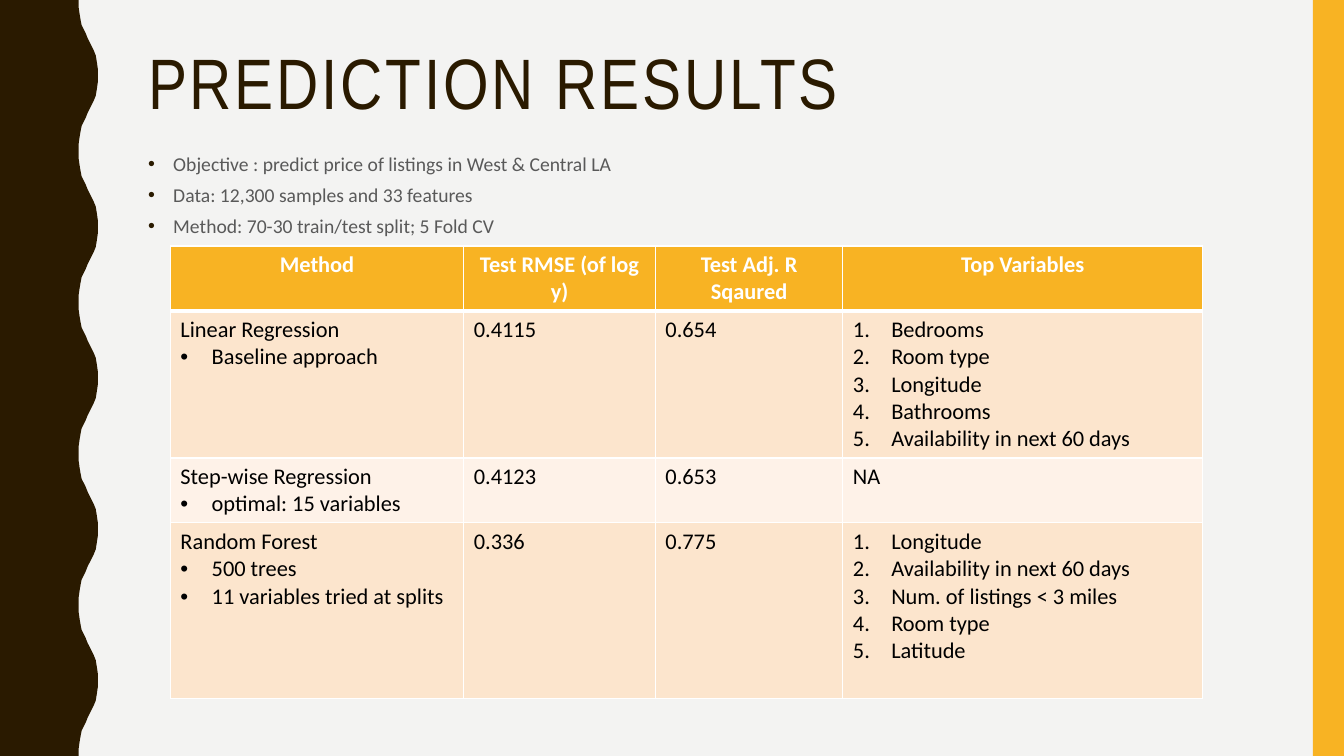
from lxml import etree
from pptx import Presentation
from pptx.dml.color import RGBColor
from pptx.enum import shapes, text
from pptx.oxml import ns
from pptx.util import Pt

PX = 9144  # EMU per px, 100 px to the inch
WIDTH, HEIGHT = 1333, 750

BROWN = RGBColor(0x2A, 0x1A, 0x00)
GOLD = RGBColor(0xF8, 0xB3, 0x23)
PAPER = RGBColor(0xF3, 0xF3, 0xF2)
GREY = RGBColor(0x59, 0x59, 0x59)
WHITE = RGBColor(0xFF, 0xFF, 0xFF)
BLACK = RGBColor(0x00, 0x00, 0x00)
PEACH = RGBColor(0xFC, 0xE5, 0xCD)
CREAM = RGBColor(0xFE, 0xF2, 0xE8)

TITLE = dict(name="Arial Narrow", size=Pt(51), bold=False)
BODY = dict(name="Calibri", size=Pt(14), bold=False)
HEAD = dict(name="Calibri", size=Pt(16), bold=True)
CELL = dict(name="Calibri", size=Pt(16), bold=False)

PLAIN, POINT, NOTE, NUMBER = "plain", "point", "note", "number"
# Indent in px and colour of each kind of list mark
MARKS = {POINT: (25, BROWN), NOTE: (31, BLACK), NUMBER: (38, BLACK)}

# Half a wave of the left edge, as (x, y) in px
HALF_WAVE = [(78, 0), (78, 7), (79, 14), (80, 20), (81, 25), (83, 29), (85, 33),
             (87, 38), (89, 42), (91, 46), (93, 50), (95, 55), (96, 61), (97, 68)]
WAVE_LENGTH = 150

OBJECTIVES = [
    "Objective : predict price of listings in West & Central LA",
    "Data: 12,300 samples and 33 features",
    "Method: 70-30 train/test split; 5 Fold CV",
]
HEADERS = ["Method", "Test RMSE (of log y)", "Test Adj. R Sqaured", "Top Variables"]
# Method, notes, RMSE, adjusted R squared, top variables
RESULTS = [
    ("Linear Regression", ["Baseline approach"], "0.4115", "0.654",
     ["Bedrooms", "Room type", "Longitude", "Bathrooms", "Availability in next 60 days"]),
    ("Step-wise Regression", ["optimal: 15 variables"], "0.4123", "0.653", []),
    ("Random Forest", ["500 trees", "11 variables tried at splits"], "0.336", "0.775",
     ["Longitude", "Availability in next 60 days", "Num. of listings < 3 miles",
      "Room type", "Latitude"]),
]
COLUMNS = [291, 190, 186, 357]
ROWS = [64, 146, 64, 174]


def add_xml(parent, tag, **attrs):
    return etree.SubElement(parent, ns.qn(tag), attrs)


def wave_points():
    """Points of the whole wavy edge, from top to bottom."""
    rest = [(x, WAVE_LENGTH - y) for x, y in reversed(HALF_WAVE[1:])]
    period = HALF_WAVE + [(97, WAVE_LENGTH // 2)] + rest
    return [(x, y + top) for top in range(0, HEIGHT, WAVE_LENGTH)
            for x, y in period] + [(78, HEIGHT)]


class Deck:
    """Holds the presentation, its style and the current slide."""

    def __init__(self):
        self.prs = Presentation()
        self.prs.slide_width, self.prs.slide_height = WIDTH * PX, HEIGHT * PX
        self.s = self.prs.slides.add_slide(self.prs.slide_layouts[5])
        self.s.background.fill.solid()
        self.s.background.fill.fore_color.rgb = PAPER

    def paint(self, sp, color):
        sp.shadow.inherit = False
        sp.fill.solid()
        sp.fill.fore_color.rgb = color
        sp.line.fill.background()

    def outline(self, points, color):
        builder = self.s.shapes.build_freeform(*points[0], scale=PX)
        builder.add_line_segments(points[1:], close=True)
        self.paint(builder.convert_to_shape(), color)

    def rect(self, x, y, w, h, color):
        sp = self.s.shapes.add_shape(shapes.MSO_SHAPE.RECTANGLE,
                                     x * PX, y * PX, w * PX, h * PX)
        self.paint(sp, color)

    def add_lines(self, tf, lines, style, color, **paragraph):
        """Fill a text frame with (mark, text) lines."""
        for i, (mark, words) in enumerate(lines):
            p = tf.add_paragraph() if i else tf.paragraphs[0]
            for key, value in paragraph.items():
                setattr(p, key, value)
            r = p.add_run()
            r.text = words
            for key, value in style.items():
                setattr(r.font, key, value)
            r.font.color.rgb = color
            if mark != PLAIN:
                self.add_mark(p, mark)

    def add_mark(self, p, mark):
        indent, color = MARKS[mark]
        pPr = p._p.get_or_add_pPr()
        pPr.set("marL", str(indent * PX))
        pPr.set("indent", str(-indent * PX))
        add_xml(add_xml(pPr, "a:buClr"), "a:srgbClr", val=str(color))
        if mark == NUMBER:
            add_xml(pPr, "a:buAutoNum", type="arabicPeriod")
        else:
            add_xml(pPr, "a:buFont", typeface="Arial")
            add_xml(pPr, "a:buChar", char="•")

    def title(self, x, y, w, h, words):
        sp = self.s.shapes.title
        for key, value in dict(left=x, top=y, width=w, height=h).items():
            setattr(sp, key, value * PX)
        tf = sp.text_frame
        tf.auto_size = text.MSO_AUTO_SIZE.NONE
        tf.vertical_anchor = text.MSO_ANCHOR.TOP
        self.add_lines(tf, [(PLAIN, words)], TITLE, BROWN,
                       alignment=text.PP_ALIGN.LEFT, line_spacing=0.9)
        tf.paragraphs[0].runs[0]._r.get_or_add_rPr().set("spc", "200")

    def bullets(self, x, y, w, h, lines):
        tf = self.s.shapes.add_textbox(x * PX, y * PX, w * PX, h * PX).text_frame
        tf.word_wrap = True
        self.add_lines(tf, [(POINT, line) for line in lines], BODY, GREY,
                       line_spacing=0.9, space_before=Pt(7))

    def cell(self, cell, lines, style, color, fill, top=1, bottom=1, **paragraph):
        cell.fill.solid()
        cell.fill.fore_color.rgb = fill
        self.add_lines(cell.text_frame, lines, style, color, **paragraph)
        tcPr = cell._tc.get_or_add_tcPr()
        borders = {"a:lnL": 1, "a:lnR": 1, "a:lnT": top, "a:lnB": bottom}
        for i, (tag, points) in enumerate(borders.items()):
            ln = add_xml(tcPr, tag, w=str(int(Pt(points))))
            add_xml(add_xml(ln, "a:solidFill"), "a:srgbClr", val=str(WHITE))
            tcPr.insert(i, ln)

    def table(self, x, y, columns, rows, headers, results):
        table = self.s.shapes.add_table(len(rows), len(columns), x * PX, y * PX,
                                        sum(columns) * PX, sum(rows) * PX).table
        table.horz_banding = False
        for column, width in zip(table.columns, columns):
            column.width = width * PX
        for row, height in zip(table.rows, rows):
            row.height = height * PX
        for c, words in enumerate(headers):
            self.cell(table.cell(0, c), [(PLAIN, words)], HEAD, WHITE, GOLD,
                      bottom=3, alignment=text.PP_ALIGN.CENTER)
        for r, (method, notes, rmse, r_squared, variables) in enumerate(results, 1):
            contents = [
                [(PLAIN, method)] + [(NOTE, note) for note in notes],
                [(PLAIN, rmse)],
                [(PLAIN, r_squared)],
                [(NUMBER, name) for name in variables] or [(PLAIN, "NA")],
            ]
            for c, lines in enumerate(contents):
                self.cell(table.cell(r, c), lines, CELL, BLACK,
                          PEACH if r % 2 else CREAM, top=3 if r == 1 else 1)


def main():
    deck = Deck()
    deck.outline([(0, 0)] + wave_points() + [(0, HEIGHT)], BROWN)
    deck.rect(1302, 0, 31, HEIGHT, GOLD)
    deck.title(137, 42, 1113, 163, "PREDICTION RESULTS")
    deck.table(169, 244, COLUMNS, ROWS, HEADERS, RESULTS)
    deck.bullets(137, 148, 1113, 96, OBJECTIVES)
    deck.prs.save("out.pptx")


if __name__ == "__main__":
    main()
